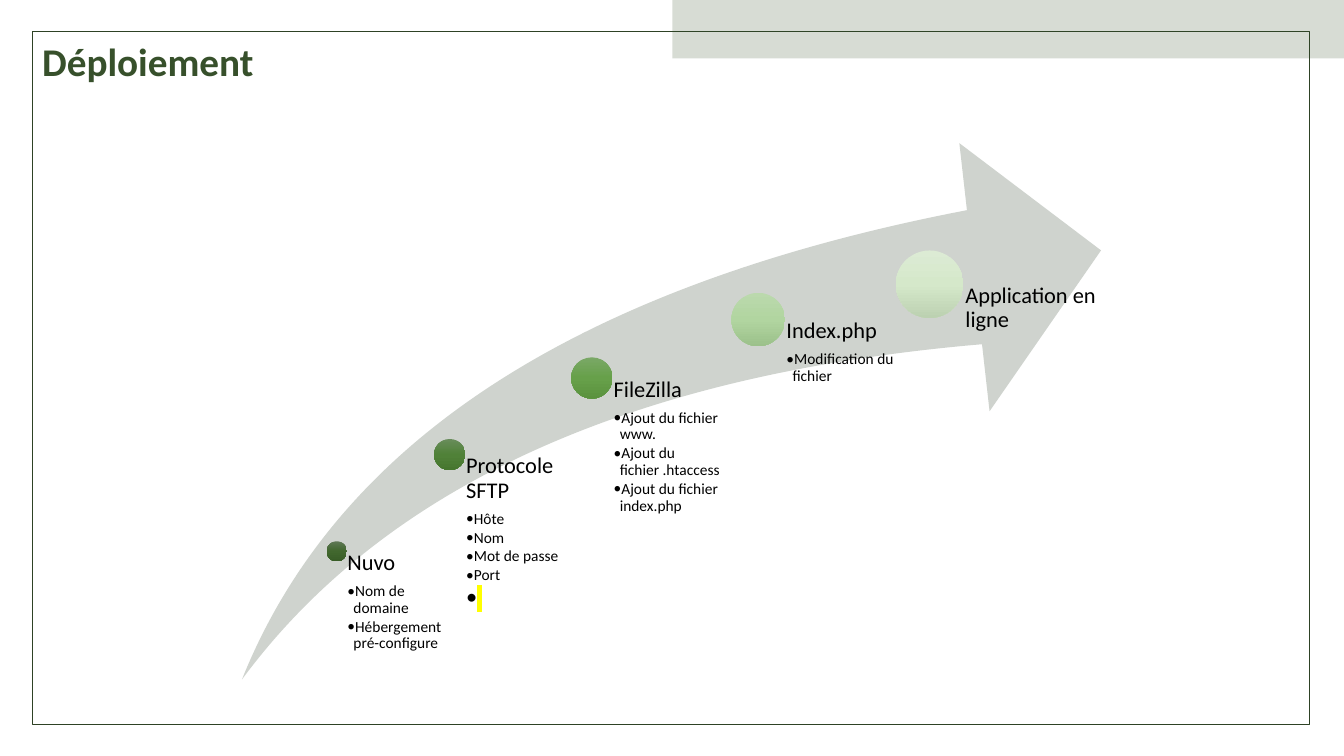
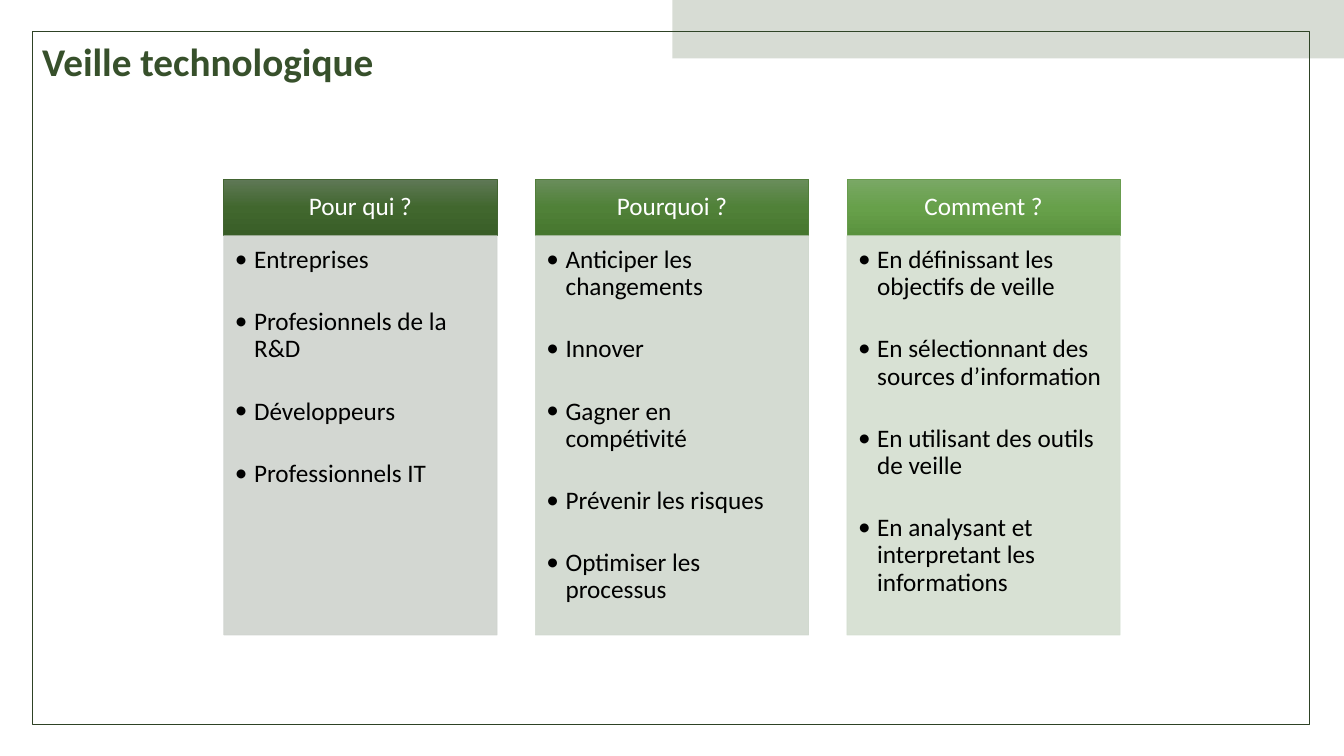
from copy import deepcopy
from dataclasses import dataclass

from lxml import etree
from pptx import Presentation
from pptx.dml.color import RGBColor
from pptx.enum.shapes import MSO_SHAPE
from pptx.enum.text import MSO_ANCHOR, PP_ALIGN
from pptx.oxml.ns import qn
from pptx.util import Inches, Pt

RECTANGLE = MSO_SHAPE.RECTANGLE
ROUNDED = MSO_SHAPE.ROUNDED_RECTANGLE
ELLIPSE = MSO_SHAPE.OVAL
SWOOSH = MSO_SHAPE.SWOOSH_ARROW
TOP, MIDDLE = MSO_ANCHOR.TOP, MSO_ANCHOR.MIDDLE
LEFT, CENTER = PP_ALIGN.LEFT, PP_ALIGN.CENTER
BLANK_LAYOUT = 6


@dataclass(frozen=True)
class Theme:
    font: str = "Calibri"
    title: str = "37502B"
    frame: str = "2E4225"
    arrow: str = "CFD3CE"
    text: str = "000000"
    inverse: str = "FFFFFF"
    marker: str = "FFFF00"
    title_size: int = 28
    card_size: int = 18
    step_size: int = 16
    detail_size: int = 11
    gradients: tuple = (
        ("5F7856", "41672E", "395D27"),
        ("698D5B", "508138", "46762E"),
        ("7AA866", "67A04A", "5A923E"),
        ("BBD9AD", "B1D5A0", "9CC18B"),
        ("DCEBD4", "D5E8CA", "BCD1B1"),
    )
    header_lines: tuple = ("426431", "517E3B", "689C4E")
    card_fills: tuple = ("CFD3CE", "D0D8CE", "D4DED0")


class Deck:
    """Builds framed slides in one theme."""

    def __init__(self, theme):
        self.theme = theme
        self.presentation = Presentation()
        self.presentation.slide_width = Inches(13.33)
        self.presentation.slide_height = Inches(7.5)
        self.slide = None

    def start_slide(self, title):
        layout = self.presentation.slide_layouts[BLANK_LAYOUT]
        self.slide = self.presentation.slides.add_slide(layout)
        self.shape(RECTANGLE, (0.32, 0.31, 12.67, 6.88), line=self.theme.frame, line_width=0.75)
        self.shape(RECTANGLE, (6.67, 0, 6.66, 0.58), fill=self.theme.title, alpha=20)
        heading = self.shape(ROUNDED, (0.32, 0.31, 4.86, 0.58))
        heading.adjustments[0] = 0
        frame = self.text_frame(heading, (0.1, 0.05, 0.1, 0.05), MIDDLE)
        frame.word_wrap = False
        self.paragraph(frame, title, self.theme.title_size, self.theme.title, bold=True, spacing=1)

    def shape(self, preset, box, fill=None, line=None, line_width=0.5, alpha=100):
        shape = self.slide.shapes.add_shape(preset, *map(Inches, box))
        shape.shadow.inherit = False
        if fill is None:
            shape.fill.background()
        elif isinstance(fill, tuple):
            self.gradient(shape, fill)
        else:
            shape.fill.solid()
            shape.fill.fore_color.rgb = RGBColor.from_string(fill)
        if line:
            shape.line.color.rgb = RGBColor.from_string(line)
            shape.line.width = Pt(line_width)
        else:
            shape.line.fill.background()
        if alpha < 100:
            for color in shape._element.spPr.iter(qn("a:srgbClr")):
                etree.SubElement(color, qn("a:alpha"), val=str(alpha * 1000))
        return shape

    def gradient(self, shape, colors):
        shape.fill.gradient()
        shape.fill.gradient_angle = 270
        stop_list = shape._element.spPr.find(".//" + qn("a:gsLst"))
        stop_list.append(deepcopy(stop_list[0]))
        for index, (stop, color) in enumerate(zip(shape.fill.gradient_stops, colors)):
            stop.position = index / 2
            stop.color.rgb = RGBColor.from_string(color)

    def text_frame(self, holder, insets, anchor=TOP):
        frame = holder.text_frame
        frame.word_wrap = True
        frame.vertical_anchor = anchor
        (frame.margin_left, frame.margin_top,
         frame.margin_right, frame.margin_bottom) = map(Inches, insets)
        return frame

    def paragraph(self, frame, text, size, color, bold=False, align=LEFT,
                  spacing=0.9, after=0, indent=0):
        first = frame.paragraphs[0]
        paragraph = frame.add_paragraph() if first.runs else first
        if indent:
            properties = paragraph._p.get_or_add_pPr()
            properties.set("marL", str(Inches(indent)))
            properties.set("indent", str(-Inches(indent)))
            etree.SubElement(properties, qn("a:buFont"), typeface=self.theme.font)
            etree.SubElement(properties, qn("a:buChar"), char="•")
        paragraph.alignment = align
        paragraph.line_spacing = spacing
        paragraph.space_after = Pt(after)
        run = paragraph.add_run()
        run.text = text
        run.font.size = Pt(size)
        run.font.bold = bold
        run.font.color.rgb = RGBColor.from_string(color)
        run.font.name = self.theme.font
        return run

    def highlight(self, run, color, tracking):
        properties = run._r.rPr
        properties.set("spc", str(int(tracking * 100)))
        highlight = etree.Element(qn("a:highlight"))
        etree.SubElement(highlight, qn("a:srgbClr"), val=color)
        properties.find(qn("a:latin")).addprevious(highlight)

    def step(self, center, diameter, width, gradient, name, details, marked=False):
        theme = self.theme
        x, y = center
        radius = diameter / 2
        self.shape(ELLIPSE, (x - radius, y - radius, diameter, diameter), fill=gradient)
        label = self.slide.shapes.add_textbox(*map(Inches, (x, y, width, 6.74 - y)))
        frame = self.text_frame(label, (0.53 * diameter, 0, 0, 0))
        self.paragraph(frame, name, theme.step_size, theme.text, after=5.6)
        for detail in details:
            self.paragraph(frame, detail, theme.detail_size, theme.text, after=1.65, indent=0.06)
        if marked:
            blank = self.paragraph(frame, " ", theme.step_size, theme.text, indent=0.06)
            self.highlight(blank, theme.marker, tracking=10.7)

    def card(self, index, heading, points):
        theme = self.theme
        left, width = 2.22 + index * 3.09, 2.71
        header = self.shape(RECTANGLE, (left, 1.78, width, 0.56),
                            fill=theme.gradients[index], line=theme.header_lines[index])
        frame = self.text_frame(header, (0.14, 0.08, 0.14, 0.08), MIDDLE)
        self.paragraph(frame, heading, theme.card_size, theme.inverse, align=CENTER)
        color = theme.card_fills[index]
        body = self.shape(RECTANGLE, (left, 2.34, width, 3.96), fill=color, line=color, alpha=90)
        frame = self.text_frame(body, (0.11, 0.11, 0.14, 0.16))
        for point in points:
            self.paragraph(frame, point, theme.card_size, theme.text, after=24.9, indent=0.19)


def build_deployment(deck):
    deck.start_slide("Déploiement")
    arrow = deck.shape(SWOOSH, (2.4, 1.42, 8.52, 5.32), fill=deck.theme.arrow)
    arrow.adjustments[0] = arrow.adjustments[1] = 0.25
    steps = (
        ((3.34, 5.47), 0.2, 1.12, "Nuvo", ("Nom de domaine", "Hébergement pré-configure")),
        ((4.46, 4.51), 0.31, 1.41, "Protocole SFTP", ("Hôte", "Nom", "Mot de passe", "Port")),
        ((5.87, 3.75), 0.41, 1.64, "FileZilla",
         ("Ajout du fichier www.", "Ajout du fichier .htaccess", "Ajout du fichier index.php")),
        ((7.52, 3.17), 0.53, 1.7, "Index.php", ("Modification du fichier",)),
        ((9.22, 2.82), 0.67, 1.7, "Application en ligne", ()),
    )
    for gradient, (center, diameter, width, name, details) in zip(deck.theme.gradients, steps):
        deck.step(center, diameter, width, gradient, name, details, marked="Port" in details)


def build_watch(deck):
    deck.start_slide("Veille technologique")
    cards = (
        ("Pour qui ?",
         ("Entreprises", "Profesionnels de la R&D", "Développeurs", "Professionnels IT")),
        ("Pourquoi ?",
         ("Anticiper les changements", "Innover", "Gagner en compétivité",
          "Prévenir les risques", "Optimiser les processus")),
        ("Comment ?",
         ("En définissant les objectifs de veille", "En sélectionnant des sources d’information",
          "En utilisant des outils de veille", "En analysant et interpretant les informations")),
    )
    for index, (heading, points) in enumerate(cards):
        deck.card(index, heading, points)


def main():
    deck = Deck(Theme())
    build_deployment(deck)
    build_watch(deck)
    deck.presentation.save("out.pptx")


if __name__ == "__main__":
    main()
